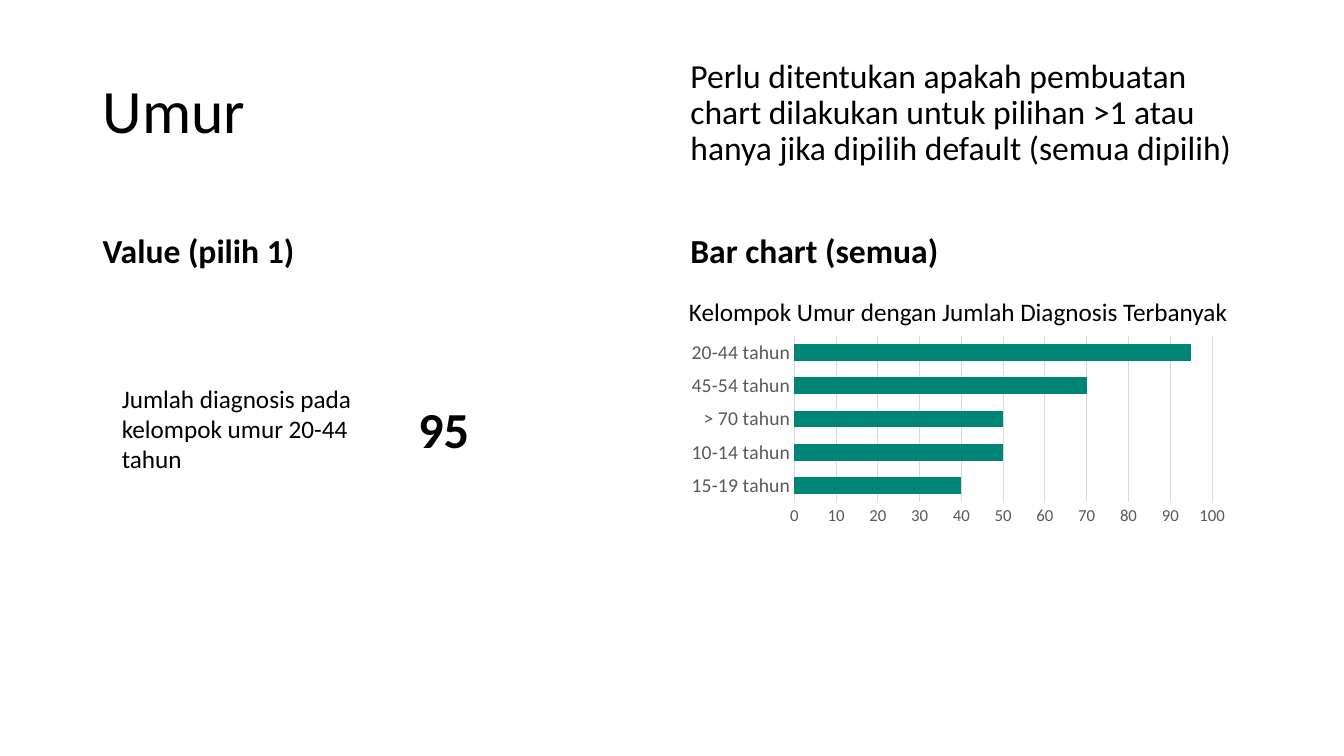
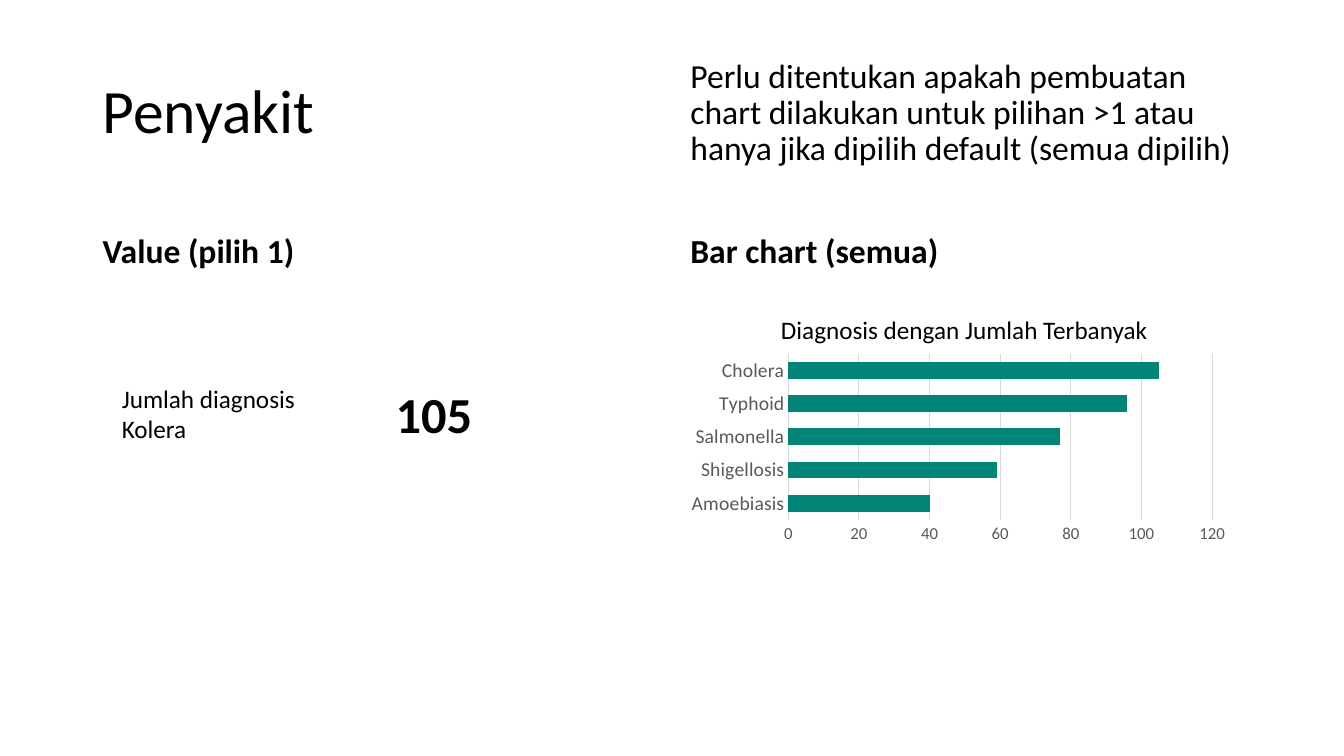
import pptx
import pptx.chart.data
import pptx.dml.color
import pptx.enum.chart
import pptx.enum.text
import pptx.util

Cm = pptx.util.Cm
Pt = pptx.util.Pt
ANCHOR = pptx.enum.text.MSO_ANCHOR
ALIGN = pptx.enum.text.PP_ALIGN

FONT = "Calibri"
COLORS = {"text": "000000", "axis": "595959", "grid": "D9D9D9", "bar": "008577"}
NOTE = ("Perlu ditentukan apakah pembuatan chart dilakukan untuk pilihan >1 "
        "atau hanya jika dipilih default (semua dipilih)")

LEFT, RIGHT, COLUMN = 2.34, 17.15, 14.38
TITLE_TOP, TITLE_HEIGHT = 1.02, 3.68
HEADING_TOP, HEADING_HEIGHT = 4.67, 2.29
CHART_WIDTH, CHART_HEIGHT = 14, 5
CAPTION_HEIGHT = 1.02
LABEL_LEFT, LABEL_TOP = 2.82, 9.53
VALUE_HEIGHT = 1.8

SLIDES = [
    {
        "title": "Umur",
        "label": "Jumlah diagnosis pada kelompok umur 20-44 tahun",
        "label_size": (6.6, 2.57),
        "value": "95", "value_width": 2.82, "value_indent": 1.12,
        "caption": "Kelompok Umur dengan Jumlah Diagnosis Terbanyak",
        "caption_center": 24.15, "caption_width": 14.25,
        "chart_top": 8.36, "axis_max": 100, "axis_step": 10,
        "counts": {"15-19 tahun": 40, "10-14 tahun": 50, "> 70 tahun": 50,
                   "45-54 tahun": 70, "20-44 tahun": 95},
    },
    {
        "title": "Penyakit",
        "label": "Jumlah diagnosis Kolera",
        "label_size": (6.32, 1.8),
        "value": "105", "value_width": 3.07, "value_indent": 0.83,
        "caption": "Diagnosis dengan Jumlah Terbanyak",
        "caption_center": 24.3, "caption_width": 9.86,
        "chart_top": 8.81, "axis_max": 120, "axis_step": 20,
        "counts": {"Amoebiasis": 40, "Shigellosis": 59, "Salmonella": 77,
                   "Typhoid": 96, "Cholera": 105},
    },
]


def color(name):
    return pptx.dml.color.RGBColor.from_string(COLORS[name])


def style_font(font, size, color_name="text", bold=False):
    font.name = FONT
    font.size = Pt(size)
    font.bold = bold
    font.color.rgb = color(color_name)


def add_text(shapes, text, left, top, width, height, size, bold=False,
             anchor=ANCHOR.TOP, align=ALIGN.LEFT, spacing=1.0):
    box = shapes.add_textbox(Cm(left), Cm(top), Cm(width), Cm(height))
    frame = box.text_frame
    frame.word_wrap = True
    frame.vertical_anchor = anchor
    frame.text = text
    para = frame.paragraphs[0]
    para.alignment = align
    para.line_spacing = spacing
    style_font(para.runs[0].font, size, bold=bold)
    return box


def add_headings(page, title):
    for text, left, size in ((title, LEFT, 44), (NOTE, RIGHT, 24)):
        add_text(page.shapes, text, left, TITLE_TOP, COLUMN, TITLE_HEIGHT, size,
                 anchor=ANCHOR.MIDDLE, spacing=0.9)
    for text, left in (("Value (pilih 1)", LEFT), ("Bar chart (semua)", RIGHT)):
        add_text(page.shapes, text, left, HEADING_TOP, COLUMN, HEADING_HEIGHT, 24,
                 bold=True, anchor=ANCHOR.BOTTOM, spacing=0.9)


def add_value(page, content):
    """Group a label with its figure, centred on the label's height."""
    group = page.shapes.add_group_shape()
    width, height = content["label_size"]
    add_text(group.shapes, content["label"], LABEL_LEFT, LABEL_TOP, width, height, 18)
    box = add_text(group.shapes, content["value"], LABEL_LEFT + width,
                   LABEL_TOP + (height - VALUE_HEIGHT) / 2,
                   content["value_width"], VALUE_HEIGHT, 36, bold=True)
    box.text_frame.margin_left = Cm(content["value_indent"])
    box.text_frame.margin_right = 0


def style_axis(axis, size):
    axis.major_tick_mark = pptx.enum.chart.XL_TICK_MARK.NONE
    axis.minor_tick_mark = pptx.enum.chart.XL_TICK_MARK.NONE
    style_font(axis.tick_labels.font, size, "axis")


def style_line(line):
    line.color.rgb = color("grid")
    line.width = Pt(0.75)


def add_bar_chart(page, content):
    data = pptx.chart.data.CategoryChartData()
    data.categories = list(content["counts"])
    data.add_series("Series 1", list(content["counts"].values()))
    chart = page.shapes.add_chart(
        pptx.enum.chart.XL_CHART_TYPE.BAR_CLUSTERED, Cm(RIGHT), Cm(content["chart_top"]),
        Cm(CHART_WIDTH), Cm(CHART_HEIGHT), data).chart
    chart.has_title = False
    chart.has_legend = False
    style_font(chart.font, 10)

    plot = chart.plots[0]
    plot.gap_width = 100
    plot.vary_by_categories = False
    fill = plot.series[0].format.fill
    fill.solid()
    fill.fore_color.rgb = color("bar")

    style_axis(chart.category_axis, 14)
    chart.category_axis.has_major_gridlines = False
    style_line(chart.category_axis.format.line)

    values = chart.value_axis
    style_axis(values, 12)
    values.minimum_scale = 0
    values.maximum_scale = content["axis_max"]
    values.major_unit = content["axis_step"]
    values.format.line.fill.background()
    values.has_major_gridlines = True
    style_line(values.major_gridlines.format.line)


def add_caption(page, content):
    width = content["caption_width"]
    add_text(page.shapes, content["caption"], content["caption_center"] - width / 2,
             content["chart_top"] - CAPTION_HEIGHT, width, CAPTION_HEIGHT, 18,
             align=ALIGN.CENTER)


def main():
    deck = pptx.Presentation()
    deck.slide_width = Cm(33.87)
    deck.slide_height = Cm(19.05)
    for content in SLIDES:
        page = deck.slides.add_slide(deck.slide_layouts[6])
        add_headings(page, content["title"])
        add_bar_chart(page, content)
        add_value(page, content)
        add_caption(page, content)
    deck.save("out.pptx")


if __name__ == "__main__":
    main()
